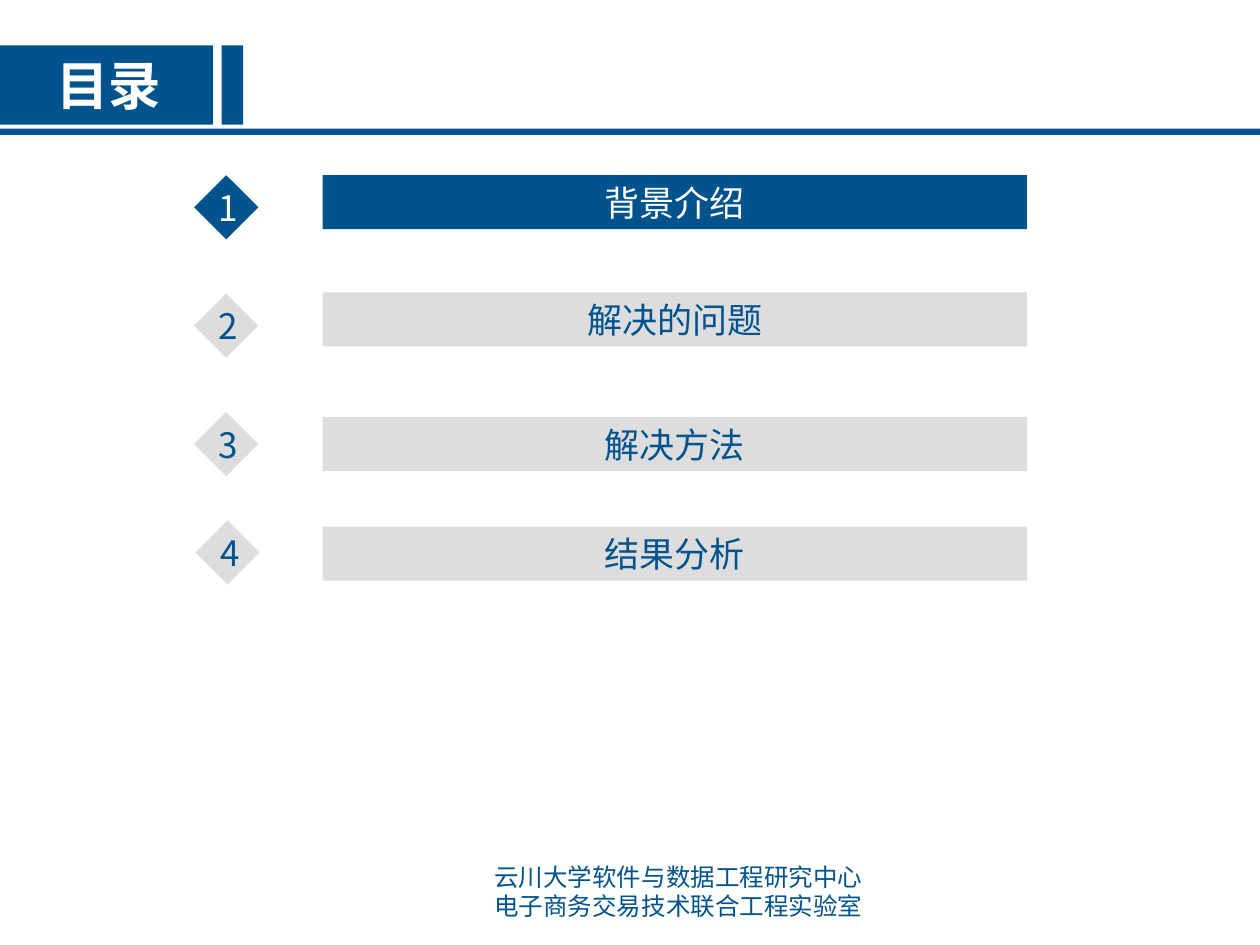
"""Build a contents slide with a title band and four numbered topics."""
import pptx
import pptx.dml.color
import pptx.enum.shapes
import pptx.enum.text
import pptx.oxml
import pptx.oxml.ns
import pptx.util

BLUE = pptx.dml.color.RGBColor(0x01, 0x53, 0x8E)
GREY = pptx.dml.color.RGBColor(0xDD, 0xDD, 0xDD)
WHITE = pptx.dml.color.RGBColor(0xFF, 0xFF, 0xFF)
FONT = "Noto Sans CJK SC"
RECTANGLE = pptx.enum.shapes.MSO_SHAPE.RECTANGLE
DIAMOND = pptx.enum.shapes.MSO_SHAPE.DIAMOND
TOP = pptx.enum.text.MSO_ANCHOR.TOP
MIDDLE = pptx.enum.text.MSO_ANCHOR.MIDDLE
BOTTOM = pptx.enum.text.MSO_ANCHOR.BOTTOM
LEFT = pptx.enum.text.PP_ALIGN.LEFT
CENTER = pptx.enum.text.PP_ALIGN.CENTER

SLIDE_WIDTH, SLIDE_HEIGHT = 10, 7.5
BAND_TOP, BAND_HEIGHT = 0.36, 0.63
DIAMOND_SIZE = 0.51
BAR_LEFT, BAR_WIDTH, BAR_HEIGHT = 2.56, 5.59, 0.43
TOPICS = [
    ("背景介绍", 1.54, 1.39, 1.39),
    ("解决的问题", 1.54, 2.33, 2.32),
    ("解决方法", 1.54, 3.27, 3.31),
    ("结果分析", 1.55, 4.13, 4.18),
]


def inches(*lengths):
    return [pptx.util.Inches(length) for length in lengths]


def write_text(shape, lines, size, color, alignment=CENTER, anchor=TOP, bold=False):
    frame = shape.text_frame
    frame.word_wrap = True
    frame.vertical_anchor = anchor
    frame.text = "\n".join(lines)
    for paragraph in frame.paragraphs:
        paragraph.alignment = alignment
        font = paragraph.font
        font.size = pptx.util.Pt(size)
        font.bold = bold
        font.color.rgb = color
        font.name = FONT
        properties = paragraph._p.pPr.find(pptx.oxml.ns.qn("a:defRPr"))
        east_asian = pptx.oxml.parse_xml(
            f'<a:ea {pptx.oxml.ns.nsdecls("a")} typeface="{FONT}"/>')
        properties.find(pptx.oxml.ns.qn("a:latin")).addnext(east_asian)


def add_block(slide, kind, box, color):
    shape = slide.shapes.add_shape(kind, *inches(*box))
    shape.shadow.inherit = False
    shape.fill.solid()
    shape.fill.fore_color.rgb = color
    shape.line.fill.background()
    return shape


def add_label(slide, box, lines, size, color, **style):
    write_text(slide.shapes.add_textbox(*inches(*box)), lines, size, color, **style)


def add_topic(slide, number, title, diamond_left, diamond_top, bar_top):
    fill, color = (BLUE, WHITE) if number == 1 else (GREY, BLUE)
    diamond = add_block(
        slide, DIAMOND, (diamond_left, diamond_top, DIAMOND_SIZE, DIAMOND_SIZE), fill)
    frame = diamond.text_frame
    frame.margin_left = frame.margin_right = pptx.util.Inches(0.07)
    frame.margin_top = frame.margin_bottom = pptx.util.Inches(0.04)
    write_text(diamond, [str(number)], 20, color, anchor=MIDDLE)
    bar = add_block(slide, RECTANGLE, (BAR_LEFT, bar_top, BAR_WIDTH, BAR_HEIGHT), fill)
    write_text(bar, [title], 20, color)


def main():
    presentation = pptx.Presentation()
    presentation.slide_width, presentation.slide_height = inches(SLIDE_WIDTH, SLIDE_HEIGHT)
    slide = presentation.slides.add_slide(presentation.slide_layouts[6])
    for left, width in ((0, 1.69), (1.76, 0.17)):
        add_block(slide, RECTANGLE, (left, BAND_TOP, width, BAND_HEIGHT), BLUE)
    add_block(slide, RECTANGLE, (0, 1.02, SLIDE_WIDTH, 0.05), BLUE)
    add_label(slide, (3.43, 6.79, 3.91, 0.57),
              ["云川大学软件与数据工程研究中心", "电子商务交易技术联合工程实验室"], 14, BLUE)
    add_label(slide, (0.35, BAND_TOP, 1.81, 0.61), ["目录"], 30, WHITE,
              alignment=LEFT, anchor=BOTTOM, bold=True)
    for number, topic in enumerate(TOPICS, 1):
        add_topic(slide, number, *topic)
    presentation.save("out.pptx")


main()
